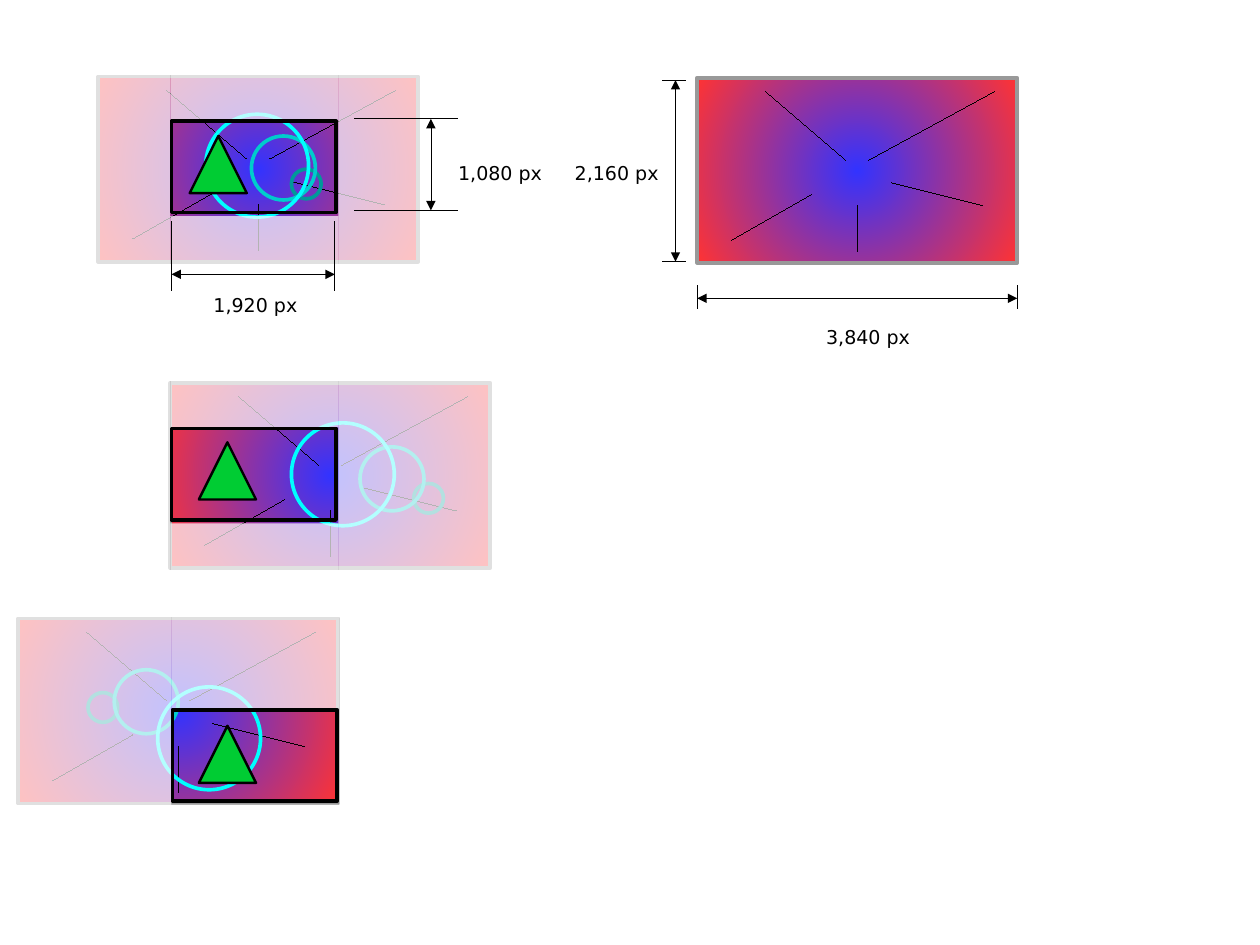
from dataclasses import dataclass

from lxml.etree import SubElement
from pptx import Presentation
from pptx.dml.color import RGBColor
from pptx.enum.shapes import MSO_CONNECTOR, MSO_SHAPE
from pptx.enum.text import PP_ALIGN
from pptx.oxml.ns import qn
from pptx.util import Inches, Pt


@dataclass(frozen=True)
class Theme:
    ink: str = "000000"
    veil: str = "FFFFFF"
    centre: str = "3333FF"
    rim: str = "FF3333"
    border: str = "999999"
    triangle: str = "00CC33"
    rings: tuple = ("009999", "00CCCC", "00FFFF")
    font: str = "DejaVu Sans"
    label_size: float = 12
    outline: float = 1.5
    bold_line: float = 2.3


@dataclass(frozen=True)
class Scene:
    """Offsets are measured from the top left corner of the view frame."""
    frame: tuple
    backdrop: tuple
    rings: tuple
    triangle: tuple
    left_veil: tuple  # width, top, height
    right_width: float
    top_height: float


THEME = Theme()
CM_PER_INCH = 2.54
BACKDROP_W, BACKDROP_H = 2.8, 1.62
VIEW_W, VIEW_H = 1.44, 0.8
RING_SIZES = (0.26, 0.56, 0.9)
SPOKES = (
    (1.5, 0.72, 2.6, 0.12),
    (1.7, 0.92, 2.5, 1.12),
    (0.6, 0.12, 1.3, 0.72),
    (1.0, 1.02, 0.3, 1.42),
    (1.4, 1.12, 1.4, 1.52),
)
SCENES = (
    Scene((1.5, 1.06), (-0.64, -0.39), ((1.05, 0.42), (0.7, 0.13), (0.3, -0.06)),
          (0.16, 0.13), (1.21, -0.79, 2.5), 1.3, 0.64),
    Scene((1.5, 3.75), (-0.01, -0.4), ((2.12, 0.48), (1.65, 0.16), (1.05, -0.05)),
          (0.24, 0.12), (1.21, -0.79, 2.34), 1.44, 0.64),
    Scene((1.51, 6.21), (-1.35, -0.8), ((-0.74, -0.15), (-0.51, -0.35), (-0.13, -0.2)),
          (0.23, 0.14), (1.4, -0.91, 2.62), 1.3, 0.86),
)


def rgb(value):
    return RGBColor.from_string(value)


def add_figure(shapes, kind, box, fill=None, line=None, width=0):
    s = shapes.add_shape(kind, *map(Inches, box))
    s.shadow.inherit = False
    if fill:
        s.fill.solid()
        s.fill.fore_color.rgb = rgb(fill)
    else:
        s.fill.background()
    if line:
        s.line.color.rgb = rgb(line)
        s.line.width = Pt(width)
    else:
        s.line.fill.background()
    return s


def add_hairline(shapes, x1, y1, x2, y2, arrows=False):
    c = shapes.add_connector(MSO_CONNECTOR.STRAIGHT, *map(Inches, (x1, y1, x2, y2)))
    c.line.color.rgb = rgb(THEME.ink)
    ln = c._element.spPr.find(qn("a:ln"))
    ln.set("w", "0")
    if arrows:
        for end in ("a:headEnd", "a:tailEnd"):
            SubElement(ln, qn(end), type="triangle")
    SubElement(c._element.spPr, qn("a:effectLst"))


def add_label(shapes, text, box, align):
    s = shapes.add_textbox(*map(Inches, box))
    tf = s.text_frame
    tf.word_wrap = True
    p = tf.paragraphs[0]
    p.text = text
    p.alignment = align
    p.font.name = THEME.font
    p.font.size = Pt(THEME.label_size)
    p.font.color.rgb = rgb(THEME.ink)


def fill_radial(s):
    s.fill.gradient()
    for stop, colour, position in zip(s.fill.gradient_stops, (THEME.centre, THEME.rim), (0, 1)):
        stop.color.rgb = rgb(colour)
        stop.position = position
    grad = s._element.spPr.find(qn("a:gradFill"))
    grad.remove(grad.find(qn("a:lin")))
    circle = SubElement(grad, qn("a:path"), path="circle")
    SubElement(circle, qn("a:fillToRect"), l="50000", t="50000", r="50000", b="50000")


def draw_backdrop(slide, x, y):
    shapes = slide.shapes.add_group_shape().shapes
    s = add_figure(shapes, MSO_SHAPE.RECTANGLE, (x, y, BACKDROP_W, BACKDROP_H),
                   line=THEME.border, width=THEME.bold_line)
    fill_radial(s)
    for x1, y1, x2, y2 in SPOKES:
        add_hairline(shapes, x + x1, y + y1, x + x2, y + y2)


def draw_veils(slide, scene):
    """Fade everything around the view frame."""
    x, y = scene.frame
    gap, span = 0.01, 1.47
    left_w, left_top, left_h = scene.left_veil
    veils = (
        (-gap - left_w, left_top, left_w, left_h),
        (span - gap, -0.85, scene.right_width, 2.5),
        (-gap, VIEW_H + 0.03, span, 0.77),
        (-gap, -gap - scene.top_height, span, scene.top_height),
    )
    for dx, dy, w, h in veils:
        s = add_figure(slide.shapes, MSO_SHAPE.RECTANGLE, (x + dx, y + dy, w, h), THEME.veil)
        colour = s._element.spPr.find(qn("a:solidFill"))[0]
        SubElement(colour, qn("a:alpha"), val="70000")


def draw_scene(slide, scene):
    x, y = scene.frame
    draw_backdrop(slide, x + scene.backdrop[0], y + scene.backdrop[1])
    for (dx, dy), size, colour in zip(scene.rings, RING_SIZES, THEME.rings):
        add_figure(slide.shapes, MSO_SHAPE.OVAL, (x + dx, y + dy, size, size),
                   line=colour, width=THEME.bold_line)
    draw_veils(slide, scene)
    add_figure(slide.shapes, MSO_SHAPE.RECTANGLE, (x, y, VIEW_W, VIEW_H),
               line=THEME.ink, width=THEME.bold_line)
    dx, dy = scene.triangle
    add_figure(slide.shapes, MSO_SHAPE.ISOSCELES_TRIANGLE, (x + dx, y + dy, 0.5, 0.5),
               THEME.triangle, THEME.ink, THEME.outline)


def draw_width(slide, text, left, right, y, ticks, label_box):
    for x in (left, right):
        add_hairline(slide.shapes, x, ticks[0], x, ticks[1])
    add_hairline(slide.shapes, right, y, left, y, arrows=True)
    add_label(slide.shapes, text, label_box, PP_ALIGN.CENTER)


def draw_height(slide, text, top, bottom, x, ticks, label_box):
    for y in (top, bottom):
        add_hairline(slide.shapes, ticks[0], y, ticks[1], y)
    add_hairline(slide.shapes, x, top, x, bottom, arrows=True)
    add_label(slide.shapes, text, label_box, PP_ALIGN.LEFT)


def main():
    prs = Presentation()
    prs.slide_width = Inches(28 / CM_PER_INCH)
    prs.slide_height = Inches(21 / CM_PER_INCH)
    slide = prs.slides.add_slide(prs.slide_layouts[6])
    for scene in SCENES:
        draw_scene(slide, scene)
    draw_width(slide, "1,920 px", 1.5, 2.93, 2.4, (1.94, 2.54), (1.53, 2.52, 1.41, 0.39))
    draw_height(slide, "1,080 px", 1.04, 1.84, 3.77, (3.1, 4), (3.91, 1.36, 1.41, 0.39))
    draw_backdrop(slide, 6.1, 0.68)
    draw_width(slide, "3,840 px", 6.1, 8.9, 2.61, (2.5, 2.7), (6.89, 2.8, 1.41, 0.3))
    draw_height(slide, "2,160 px", 0.7, 2.29, 5.91, (5.8, 6), (4.93, 1.36, 1.41, 0.39))
    prs.save("out.pptx")


if __name__ == "__main__":
    main()
